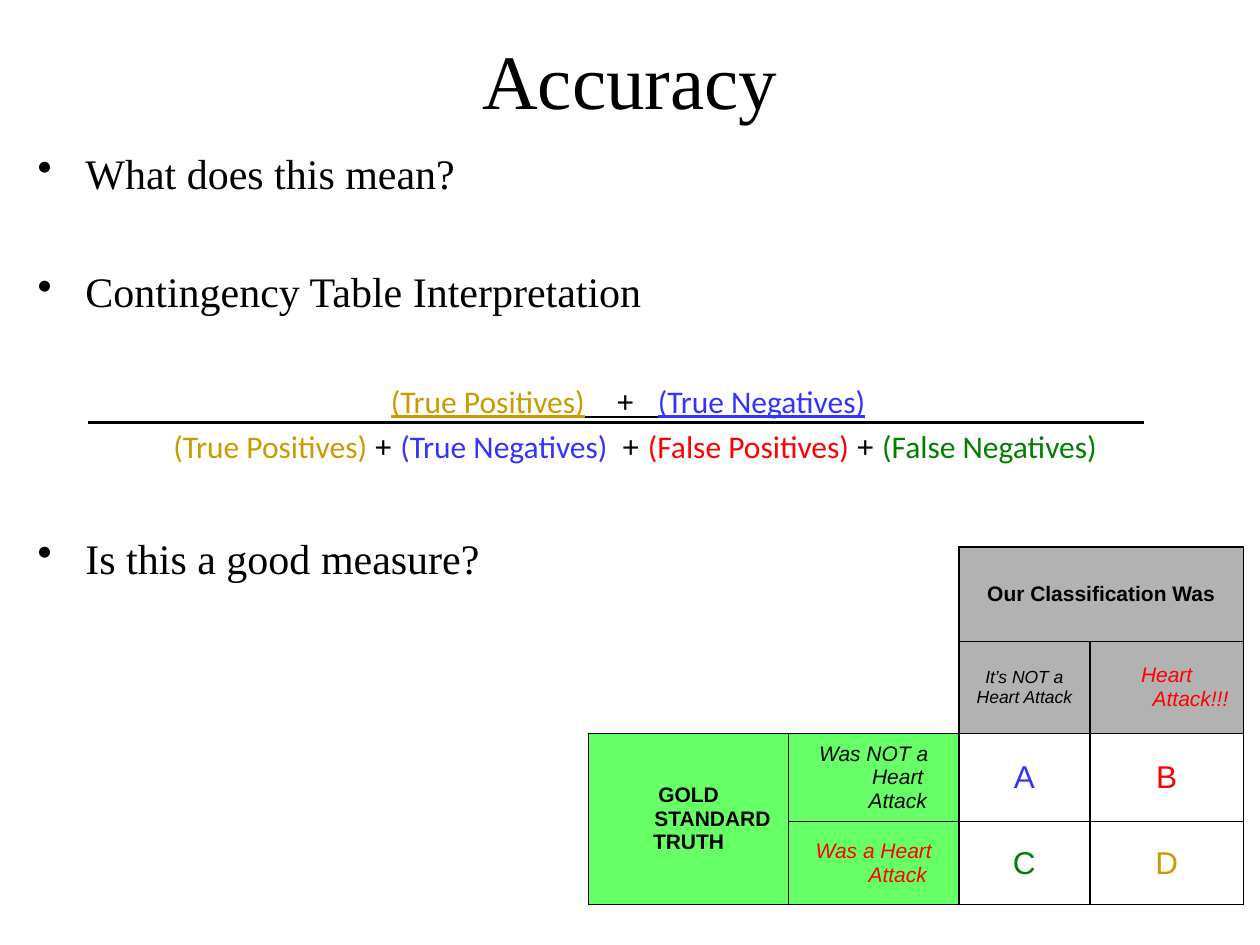
from lxml import etree
from pptx import Presentation
from pptx.dml.color import RGBColor
from pptx.enum.shapes import MSO_CONNECTOR as Link
from pptx.enum.text import MSO_ANCHOR as Anchor, PP_ALIGN as Align
from pptx.oxml.ns import qn
from pptx.util import Inches, Pt

BLACK = RGBColor(0x00, 0x00, 0x00)
GOLD = RGBColor(0xCC, 0x99, 0x00)
BLUE = RGBColor(0x33, 0x33, 0xFF)
RED = RGBColor(0xFF, 0x00, 0x00)
GREEN = RGBColor(0x00, 0x80, 0x00)
GRAY = RGBColor(0xB2, 0xB2, 0xB2)
LIME = RGBColor(0x66, 0xFF, 0x66)
SERIF, SANS, MATH = "Times New Roman", "Arial", "Calibri"

TOP = [("(True Positives)", GOLD), ("    +   ", BLACK), ("(True Negatives)", BLUE)]
BOTTOM = [("(True Positives) ", GOLD), ("+ ", BLACK), ("(True Negatives)  ", BLUE),
          ("+ ", BLACK), ("(False Positives) ", RED), ("+ ", BLACK),
          ("(False Negatives)", GREEN)]

# row, column, text, size, colour, bold, italic, fill
CELLS = [
    (0, 2, "Our Classification Was", 12, BLACK, True, False, GRAY),
    (1, 2, "It’s NOT a\nHeart Attack", 10, BLACK, False, True, GRAY),
    (1, 3, "Heart Attack!!!", 12, RED, False, True, GRAY),
    (2, 0, "GOLD STANDARD\nTRUTH", 12, BLACK, True, False, LIME),
    (2, 1, "Was NOT a Heart Attack", 12, BLACK, False, True, LIME),
    (3, 1, "Was a Heart Attack", 12, RED, False, True, LIME),
    (2, 2, "A", 18, BLUE, False, False, None),
    (2, 3, "B", 18, RED, False, False, None),
    (3, 2, "C", 18, GREEN, False, False, None),
    (3, 3, "D", 18, GOLD, False, False, None),
]


def style(run, face, size, color=BLACK, bold=False, italic=False, under=False):
    font = run.font
    font.name, font.size, font.color.rgb = face, Pt(size), color
    font.bold, font.italic, font.underline = bold, italic, under


def hang(para, left=0.38):
    """Give the paragraph a hanging indent."""
    props = para._p.get_or_add_pPr()
    props.set("marL", str(Inches(left)))
    props.set("indent", str(Inches(-0.38)))
    return props


def add_box(slide, left, top, width, height):
    frame = slide.shapes.add_textbox(
        Inches(left), Inches(top), Inches(width), Inches(height)).text_frame
    frame.word_wrap = True
    return frame


def add_title(slide, text):
    frame = add_box(slide, 0.75, 0, 8.5, 1.25)
    frame.vertical_anchor = Anchor.MIDDLE
    frame.text = text
    para = frame.paragraphs[0]
    para.alignment = Align.CENTER
    style(para.runs[0], SERIF, 44)


def add_bullet(para, text, gap):
    para.text = text
    para.space_before = Pt(gap)
    etree.SubElement(hang(para), qn("a:buChar")).set("char", "•")
    style(para.runs[0], SERIF, 24)


def add_terms(para, terms, gap, left=0.38, under=False):
    """Write one row of the fraction."""
    para.alignment = Align.CENTER
    para.space_before = Pt(gap)
    hang(para, left)
    for text, color in terms:
        run = para.add_run()
        run.text = text
        plus = color == BLACK
        style(run, SERIF if plus else MATH, 18, color, bold=plus, under=under)


def add_body(slide):
    frame = add_box(slide, 0.2, 1.12, 9.57, 4.5)
    add_bullet(frame.paragraphs[0], "What does this mean?", 5.5)
    add_bullet(frame.add_paragraph(), "Contingency Table Interpretation", 39)
    add_terms(frame.add_paragraph(), TOP, 37.5, under=True)
    add_terms(frame.add_paragraph(), BOTTOM, 4, left=0.49)
    add_bullet(frame.add_paragraph(), "Is this a good measure?", 39)


def add_border(cell, sides):
    props = cell._tc.get_or_add_tcPr()
    for side in "LRTB":
        line = etree.SubElement(props, qn("a:ln" + side), w=str(Pt(1)))
        if side in sides:
            fill = etree.SubElement(line, qn("a:solidFill"))
            etree.SubElement(fill, qn("a:srgbClr"), val=str(BLACK))
        else:
            etree.SubElement(line, qn("a:noFill"))


def fill_cell(cell, text, size, color, bold, italic, fill):
    cell.text = text
    cell.vertical_anchor = Anchor.MIDDLE
    for para in cell.text_frame.paragraphs:
        para.alignment = Align.CENTER
        hang(para)
        style(para.runs[0], SANS, size, color, bold, italic)
    if fill is not None:
        cell.fill.solid()
        cell.fill.fore_color.rgb = fill


def add_grid(slide):
    cols, rows = (1.59, 1.35, 1.04, 1.22), (0.75, 0.73, 0.7, 0.66)
    table = slide.shapes.add_table(
        len(rows), len(cols), Inches(4.67), Inches(4.34),
        Inches(sum(cols)), Inches(sum(rows))).table
    table.first_row = table.horz_banding = False
    for col, width in zip(table.columns, cols):
        col.width = Inches(width)
    for row, height in zip(table.rows, rows):
        row.height = Inches(height)
    for r in range(len(rows)):
        for c in range(len(cols)):
            cell = table.cell(r, c)
            add_border(cell, "RB" if r < 2 and c < 2 else "LRTB")
            cell.fill.background()
    for first, last in (((0, 0), (1, 1)), ((0, 2), (0, 3)), ((2, 0), (3, 0))):
        table.cell(*first).merge(table.cell(*last))
    for r, c, *look in CELLS:
        fill_cell(table.cell(r, c), *look)


def add_rule(slide):
    rule = slide.shapes.add_connector(
        Link.STRAIGHT, Inches(0.7), Inches(3.35), Inches(9.08), Inches(3.35))
    rule.line.color.rgb = BLACK
    rule.line.width = Pt(1.75)
    etree.SubElement(rule._element.spPr, qn("a:effectLst"))


def main():
    deck = Presentation()
    deck.slide_width, deck.slide_height = Inches(10), Inches(7.5)
    slide = deck.slides.add_slide(deck.slide_layouts[6])
    add_title(slide, "Accuracy")
    add_body(slide)
    add_grid(slide)
    add_rule(slide)
    deck.save("out.pptx")


if __name__ == "__main__":
    main()
